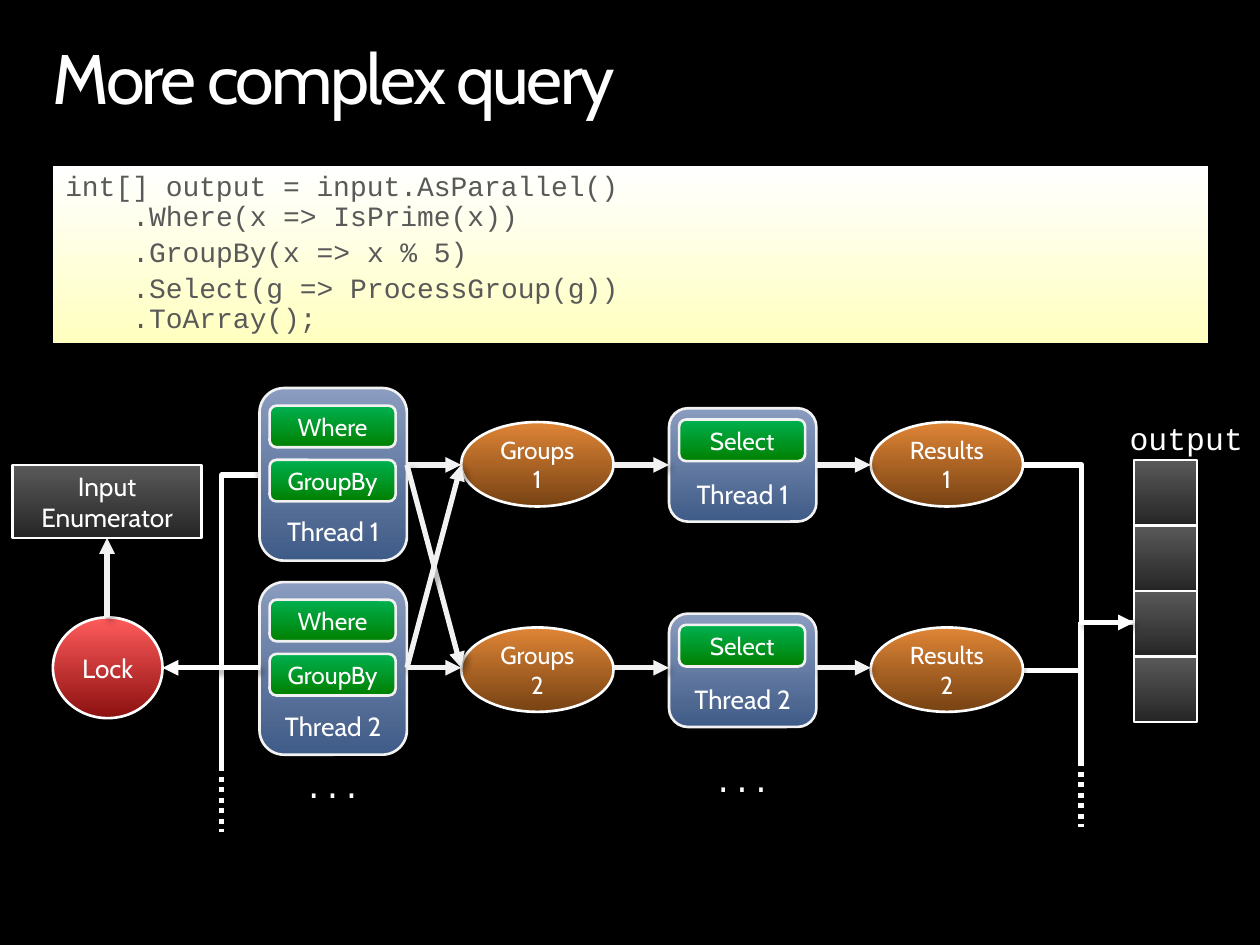
from dataclasses import dataclass

from lxml import etree
from pptx import Presentation
from pptx import util as u
from pptx.dml.color import RGBColor
from pptx.enum import dml, shapes, text
from pptx.oxml.ns import qn


@dataclass(frozen=True)
class Theme:
    sans: str = "Cabin"
    mono: str = "Courier New"
    background: str = "000000"
    white: str = "FFFFFF"
    soft_white: str = "F2F2F2"
    code_text: str = "595959"
    # Gradients run from the bottom colour to the top colour.
    code: tuple = ("FFFFC0", "FFFFFF")
    thread: tuple = ("3F5B87", "8A9CBF")
    operator: tuple = ("008000", "00B050")
    data: tuple = ("262626", "595959")
    lock: tuple = ("8C1010", "FF5B5B")
    group: tuple = ("774213", "DF8536")
    title_size: int = 40
    mono_size: int = 18
    code_size: int = 16
    label_size: int = 15
    small_size: int = 14
    outline: float = 1.5
    wire: int = 3


RECT = shapes.MSO_SHAPE.RECTANGLE
ROUND = shapes.MSO_SHAPE.ROUNDED_RECTANGLE
OVAL = shapes.MSO_SHAPE.OVAL
MIDDLE = text.MSO_ANCHOR.MIDDLE
CENTER = text.PP_ALIGN.CENTER


def rgb(value):
    return RGBColor.from_string(value)


def add_shadow(item, opacity=40, blur=4, distance=3, angle=45):
    """Give a shape or connector a black outer shadow, replacing the theme's."""
    effects = etree.SubElement(item._element.spPr, qn("a:effectLst"))
    outer = etree.SubElement(
        effects, qn("a:outerShdw"), blurRad=str(u.Pt(blur)), dist=str(u.Pt(distance)),
        dir=str(angle * 60000), algn="ctr", rotWithShape="0")
    color = etree.SubElement(outer, qn("a:srgbClr"), val="000000")
    etree.SubElement(color, qn("a:alpha"), val=str(opacity * 1000))


class Diagram:
    def __init__(self, deck, theme):
        self.theme = theme
        self.page = deck.slides.add_slide(deck.slide_layouts[6])
        fill = self.page.background.fill
        fill.solid()
        fill.fore_color.rgb = rgb(theme.background)

    def set_text(self, box, paragraphs, size, font=None, color=None, align=CENTER):
        frame = box.text_frame
        frame.word_wrap = True
        for index, words in enumerate(paragraphs):
            para = frame.paragraphs[0] if index == 0 else frame.add_paragraph()
            para.text = words
            para.alignment = align
            para.font.size = u.Pt(size)
            para.font.name = font or self.theme.sans
            para.font.color.rgb = rgb(color or self.theme.white)
        return frame

    def shape(self, kind, at, gradient, line=None):
        box = self.page.shapes.add_shape(kind, *map(u.Inches, at))
        box.shadow.inherit = False
        box.fill.gradient()
        box.fill.gradient_angle = 90
        for stop, color in zip(box.fill.gradient_stops, gradient):
            stop.color.rgb = rgb(color)
        if line:
            box.line.color.rgb = rgb(line)
            box.line.width = u.Pt(self.theme.outline)
        else:
            box.line.fill.background()
        return box

    def shaded(self, *args, **shadow):
        box = self.shape(*args)
        box._element.spPr.remove(box._element.spPr.find(qn("a:effectLst")))
        add_shadow(box, **shadow)
        return box

    def label(self, at, words, size, font=None, align=CENTER):
        box = self.page.shapes.add_textbox(*map(u.Inches, at))
        return self.set_text(box, [words], size, font, align=align)

    def title(self, words):
        frame = self.label((0.42, 0.35, 9.17, 0.61), words, self.theme.title_size,
                           align=text.PP_ALIGN.LEFT)
        frame.margin_left = frame.margin_right = frame.margin_top = frame.margin_bottom = 0
        para = frame.paragraphs[0]
        para.line_spacing = 0.9
        para.runs[0]._r.get_or_add_rPr().set("spc", "-150")

    def code(self, at, paragraphs):
        """Code block whose lines hang four characters in from the first line."""
        box = self.shaded(RECT, at, self.theme.code)
        frame = self.set_text(box, paragraphs, self.theme.code_size, self.theme.mono,
                              self.theme.code_text, text.PP_ALIGN.LEFT)
        frame.vertical_anchor = text.MSO_ANCHOR.TOP
        indent = u.Pt(4 * 0.6 * self.theme.code_size)
        for index, para in enumerate(frame.paragraphs):
            para.line_spacing = 0.9
            para.space_after = u.Pt(3.3)
            props = para._p.get_or_add_pPr()
            props.set("marL", str(indent))
            props.set("indent", str(0 if index else -indent))

    def node(self, kind, at, words, gradient, size, **shadow):
        box = self.shaded(kind, at, gradient, self.theme.white, **shadow)
        self.set_text(box, [words], size).vertical_anchor = MIDDLE

    def oval(self, at, words, gradient, size):
        self.node(OVAL, at, words, gradient, size, opacity=35, blur=3.1, distance=1.8, angle=90)

    def thread(self, at, name, operators, inset):
        """Thread box with its operators stacked from the top."""
        left, top = at[:2]
        box = self.shaded(ROUND, at, self.theme.thread, self.theme.soft_white,
                          opacity=35, blur=3.1, distance=1.8, angle=90)
        frame = self.set_text(box, [name], self.theme.label_size)
        frame.vertical_anchor = text.MSO_ANCHOR.BOTTOM
        for index, words in enumerate(operators):
            step = self.shape(ROUND, (left + 0.08, top + inset + 0.43 * index, 1, 0.33),
                              self.theme.operator, self.theme.soft_white)
            self.set_text(step, [words], self.theme.small_size).vertical_anchor = MIDDLE

    def wire(self, start, end, arrow=False, color=None, bend=None, dotted=False):
        """Line between two points; bend is where along its width an elbow turns."""
        kinds = shapes.MSO_CONNECTOR
        kind = kinds.STRAIGHT if bend is None else kinds.ELBOW
        wire = self.page.shapes.add_connector(kind, *map(u.Inches, (*start, *end)))
        wire.line.color.rgb = rgb(color or self.theme.white)
        wire.line.width = u.Pt(self.theme.wire)
        if dotted:
            wire.line.dash_style = dml.MSO_LINE.ROUND_DOT
        if bend is not None:
            geometry = wire._element.spPr.find(qn("a:prstGeom"))
            guides = geometry.find(qn("a:avLst"))
            if guides is None:
                guides = etree.SubElement(geometry, qn("a:avLst"))
            etree.SubElement(guides, qn("a:gd"), name="adj1", fmla=f"val {round(bend * 100000)}")
        if arrow:
            outline = wire._element.spPr.find(qn("a:ln"))
            etree.SubElement(outline, qn("a:tailEnd"), type="triangle")
        add_shadow(wire)

    def arrow(self, start, end):
        self.wire(start, end, arrow=True, color=self.theme.soft_white)


def main():
    deck = Presentation()
    deck.slide_width, deck.slide_height = u.Inches(10), u.Inches(7.5)
    theme = Theme()
    page = Diagram(deck, theme)

    page.title("More complex query")
    page.code((0.42, 1.32, 9.17, 1.4), [
        "int[] output = input.AsParallel()\n.Where(x => IsPrime(x))",
        ".GroupBy(x => x % 5)",
        ".Select(g => ProcessGroup(g))\n.ToArray();",
    ])

    # Buses behind the boxes
    page.wire((1.76, 5.32), (2.06, 3.77), bend=0)
    page.wire((8.12, 5.32), (9, 4.94), bend=0.53)
    for x, top, middle, bottom in ((1.76, 5.32, 6.08, 6.6), (8.58, 4.94, 6.04, 6.56)):
        page.wire((x, top), (x, middle))
        page.wire((x, middle), (x, bottom), dotted=True)

    page.node(RECT, (0.1, 3.69, 1.5, 0.58), "Input Enumerator", theme.data, theme.label_size)
    page.oval((0.42, 4.9, 0.87, 0.8), "Lock", theme.lock, theme.label_size)
    for row in range(2):
        number, drop = row + 1, 1.63 * row
        page.thread((2.06, 3.08 + 1.54 * row, 1.17, 1.37), f"Thread {number}",
                    ("Where", "GroupBy"), 0.14)
        page.thread((5.31, 3.24 + drop, 1.17, 0.9), f"Thread {number}", ("Select",), 0.09)
        for left, name in ((3.66, "Groups"), (6.91, "Results")):
            page.oval((left, 3.35 + drop, 1.21, 0.67), f"{name}\n{number}",
                      theme.group, theme.small_size)

    page.label((2.14, 6.04, 1, 0.4), "...", theme.mono_size, theme.mono)
    page.label((5.39, 5.99, 1, 0.4), "...", theme.mono_size, theme.mono)
    page.label((8.83, 3.28, 1.17, 0.4), "output", theme.mono_size, theme.mono)
    for cell in range(4):
        page.shaded(RECT, (9, 3.65 + 0.52 * cell, 0.5, 0.52), theme.data, theme.white)

    page.arrow((0.85, 4.9), (0.85, 4.27))
    page.wire((2.06, 5.3), (1.29, 5.3), arrow=True)
    rows = (3.69, 5.3)
    for source in rows:
        for target in rows:
            page.arrow((3.23, source), (3.66, target))
        for start, end in ((4.87, 5.31), (6.47, 6.91)):
            page.arrow((start, source), (end, source))
    page.wire((8.12, 3.69), (9, 4.94), arrow=True, bend=0.53)

    deck.save("out.pptx")


if __name__ == "__main__":
    main()
